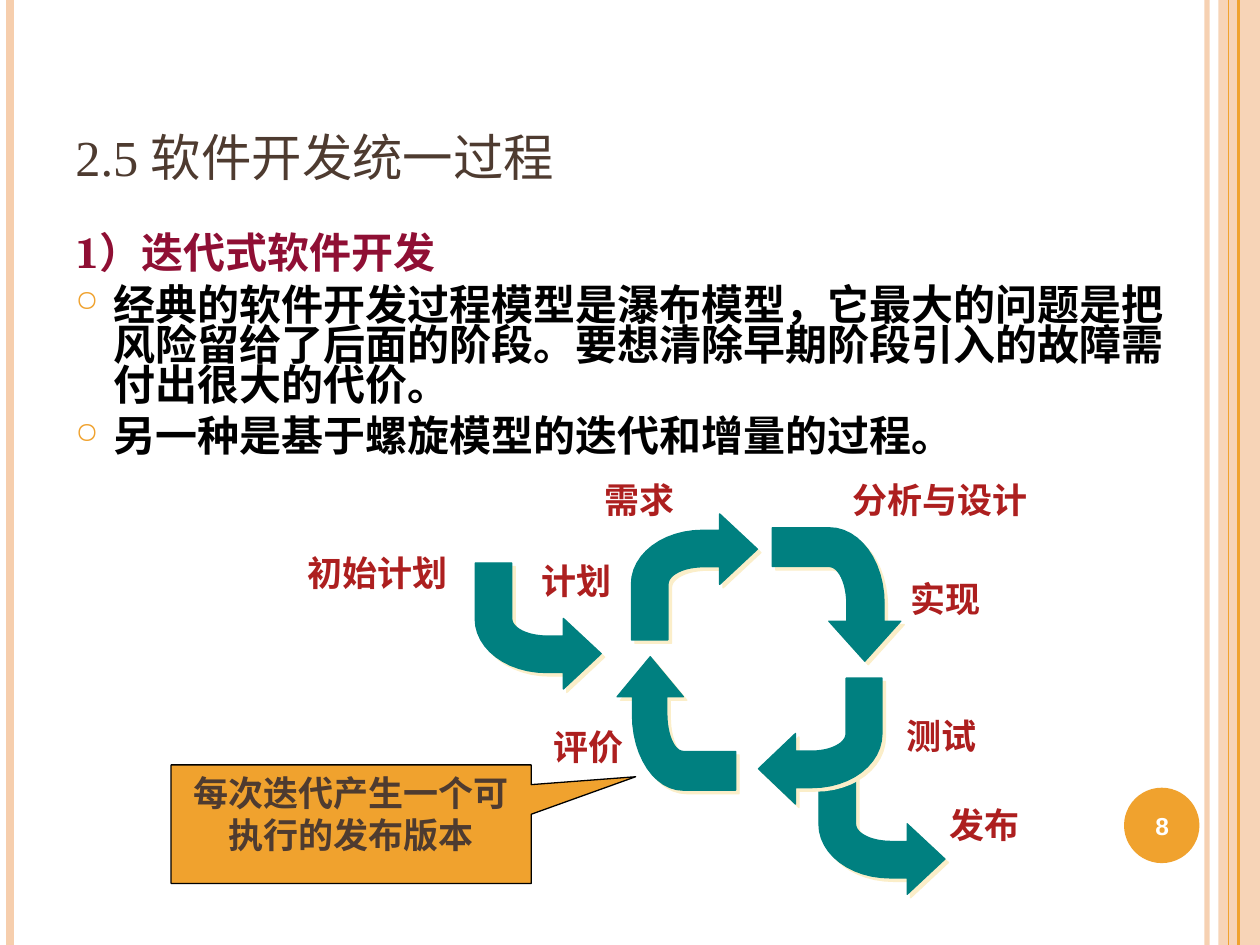
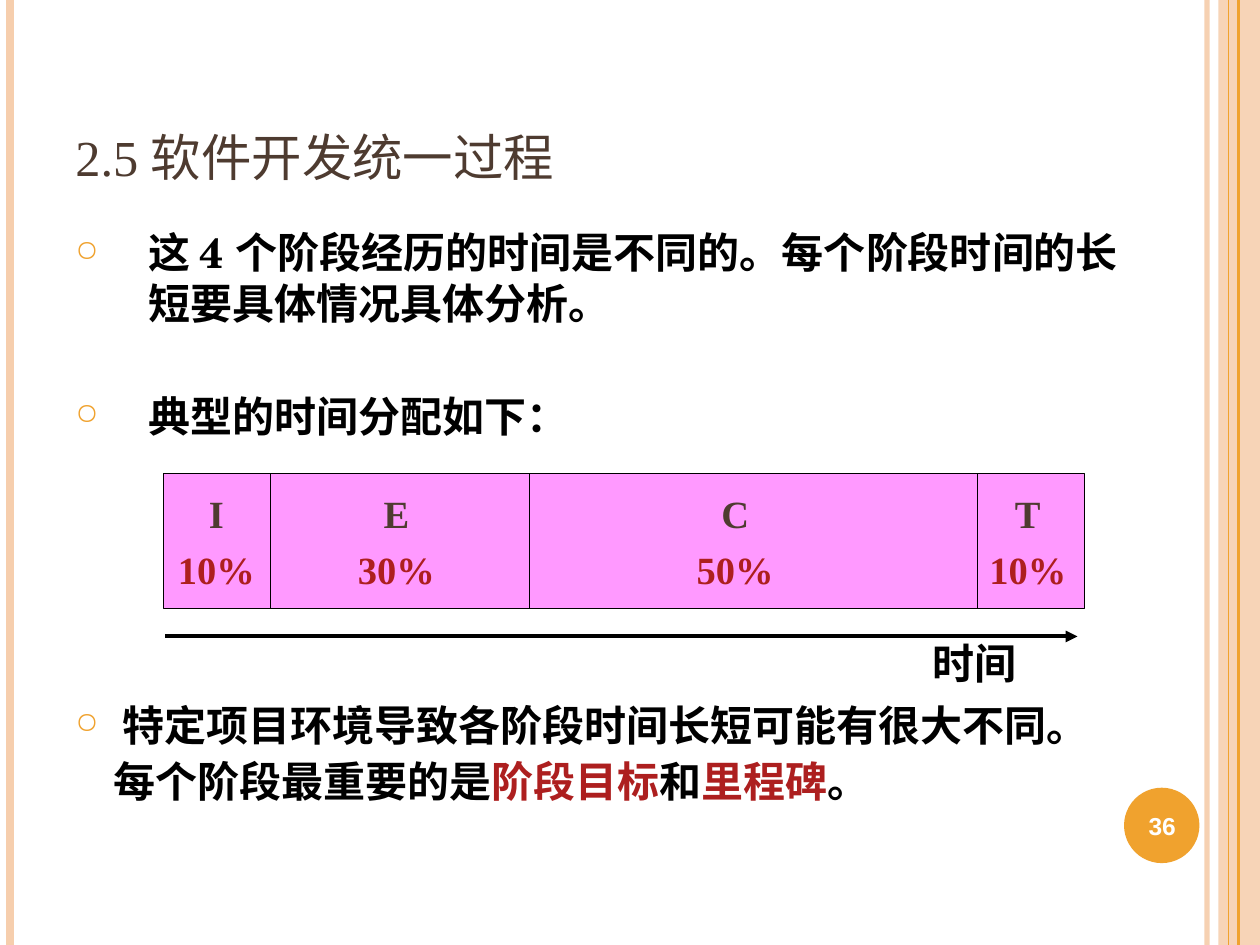
from lxml import etree
from pptx import Presentation
from pptx.dml.color import RGBColor
from pptx.enum.shapes import MSO_CONNECTOR as Link, MSO_SHAPE as Shape
from pptx.enum.text import MSO_ANCHOR as Anchor, PP_ALIGN as Align
from pptx.oxml.ns import qn
from pptx.util import Cm, Pt

# ---- Shared content and style ----
ORANGE, PEACH, BROWN, RED = "F0A22E", "F6CEAD", "4E3B30", "AD1F1F"
BLACK, WHITE, TEAL, CREAM = "000000", "FFFFFF", "008080", "FBEEC9"
PINK, WINE = "FF99FF", "8F0F34"
TIMES, SCHOLA = "Times New Roman", "TeX Gyre Schola"
WIDTH, HEIGHT = 25.4, 19.05
TITLE = "2.5 软件开发统一过程"
STRIPES = [  # x, colour, points, opacity
    (24.33, PEACH, 3, 93), (0.2, PEACH, 4.5, 100),
    (24.97, ORANGE, 1.5, 100), (24.77, ORANGE, 0.75, 100),
]
TITLE_FONT = dict(size=36, name=TIMES, color=BROWN)
NUMBER_FONT = dict(size=14, name="Arial", color=WHITE, bold=True)
BODY_FONT = dict(size=24, name=SCHOLA, color=BLACK, bold=True)
LABEL_FONT = dict(size=20, name=TIMES, color=RED, bold=True)
PHASE_FONT = dict(size=22, name=TIMES, color=BROWN, bold=True)

# ---- Iteration slide ----
ITERATION_BODY = [
    dict(runs=[("1）迭代式软件开发", WINE)]),
    dict(runs=[("经典的软件开发过程模型是瀑布模型，它最大的问题是把风险留给了后面的阶段。"
                "要想清除早期阶段引入的故障需付出很大的代价。", BLACK)],
         hang=0.76, line=0.8, before=6),
    dict(runs=[("另一种是基于螺旋模型的迭代和增量的过程。", BLACK)],
         hang=0.76, line=0.8, before=6),
]
# Bent arrow in a unit square: it starts along v and ends along u
ARROW_OUTLINE = [
    [(1, 0.72)], [(0.7, 1)], [(0.7, 0.87)], [(0.57, 0.87)],
    [(0.25, 0.87), (0, 0.68), (0, 0.44)], [(0, 0)], [(0.29, 0)], [(0.29, 0.44)],
    [(0.29, 0.52), (0.42, 0.58), (0.57, 0.58)], [(0.7, 0.58)], [(0.7, 0.44)],
]
ARROWS = [  # origin, u axis, v axis
    ((16.51, 15.49), (2.54, 0), (0, 2.54)),
    ((12.73, 12.9), (2.54, 0), (0, -2.54)),
    ((15.57, 10.64), (0, 2.69), (2.59, 0)),
    ((14.83, 15.93), (0, -2.69), (-2.39, 0)),
    ((17.78, 13.67), (-2.49, 0), (0, 2.54)),
    ((9.58, 11.35), (2.54, 0), (0, 2.54)),
]
STEPS = [
    ("计划", 10.67, 11.15), ("需求", 11.94, 9.53), ("评价", 10.9, 14.5),
    ("分析与设计", 16.94, 9.53), ("初始计划", 5.94, 11), ("实现", 18.11, 11.51),
    ("测试", 18.03, 14.27), ("发布", 18.9, 16.08),
]
RELEASE_NOTE = "每次迭代产生一个可执行的发布版本"

# ---- Phase slide ----
PHASE_BODY = [
    dict(runs=[("这 4 个阶段经历的时间是不同的。每个阶段时间的长短要具体情况具体分析。", BLACK)],
         hang=1.47),
    dict(runs=[("典型的时间分配如下：", BLACK)], hang=1.47, before=36),
    dict(runs=[(" 特定项目环境导致各阶段时间长短可能有很大不同。每个阶段最重要的是", BLACK),
               ("阶段目标", RED), ("和", BLACK), ("里程碑", RED), ("。", BLACK)],
         hang=0.76, line=1.1, before=145),
]
PHASES = [  # name, share, right edge, label left
    ("I", "10%", 5.46, 3.33), ("E", "30%", 10.67, 6.96),
    ("C", "50%", 19.71, 13.79), ("T", "10%", 21.87, 19.69),
]
BAR_LEFT, BAR_TOP, BAR_HEIGHT = 3.3, 9.55, 2.72


# ---- Helpers ----
def rgb(value):
    return RGBColor.from_string(value)


def set_opacity(parent, percent):
    if percent < 100:
        color = next(parent.iter(qn("a:srgbClr")))
        etree.SubElement(color, qn("a:alpha"), val=str(percent * 1000))


def set_font(font, style):
    values = dict(style)
    font.color.rgb = rgb(values.pop("color"))
    values["size"] = Pt(values["size"])
    for key, value in values.items():
        setattr(font, key, value)


def add_run(paragraph, text, style):
    run = paragraph.add_run()
    run.text = text
    set_font(run.font, style)
    return run


def add_text(slide, box, lines, anchor=Anchor.TOP, align=Align.LEFT,
             wrap=True, before=0):
    """Write (text, style) lines, one paragraph each, and return the runs."""
    frame = slide.shapes.add_textbox(*map(Cm, box)).text_frame
    frame.word_wrap = wrap
    frame.vertical_anchor = anchor
    runs = []
    for i, (text, style) in enumerate(lines):
        paragraph = frame.add_paragraph() if i else frame.paragraphs[0]
        paragraph.alignment = align
        if i:
            paragraph.space_before = Pt(before)
        runs.append(add_run(paragraph, text, style))
    return runs


def add_line(slide, start, end, color, points, opacity=100, arrow=False):
    line = slide.shapes.add_connector(Link.STRAIGHT, *map(Cm, start + end))
    line.line.color.rgb = rgb(color)
    line.line.width = Pt(points)
    properties = line._element.spPr
    set_opacity(properties, opacity)
    if arrow:
        etree.SubElement(properties.find(qn("a:ln")), qn("a:tailEnd"), type="triangle")
    etree.SubElement(properties, qn("a:effectLst"))


def paint(shape, fill, line=None):
    shape.shadow.inherit = False
    shape.fill.solid()
    shape.fill.fore_color.rgb = rgb(fill)
    if line:
        shape.line.color.rgb = rgb(line)
        shape.line.width = Pt(0.75)
    else:
        shape.line.fill.background()


def add_box(slide, kind, box, fill, line=None):
    shape = slide.shapes.add_shape(kind, *map(Cm, box))
    paint(shape, fill, line)
    return shape


def add_bullet(paragraph, hang):
    properties = paragraph._p.get_or_add_pPr()
    properties.set("marL", str(Cm(hang)))
    properties.set("indent", str(-Cm(hang)))
    color = etree.SubElement(properties, qn("a:buClr"))
    etree.SubElement(color, qn("a:srgbClr"), val=ORANGE)
    etree.SubElement(properties, qn("a:buSzPct"), val="70000")
    etree.SubElement(properties, qn("a:buChar"), char="○")


def add_body(slide, width, items):
    frame = slide.shapes.add_textbox(*map(Cm, (1.27, 4.45, width, 13.54))).text_frame
    frame.word_wrap = True
    for i, item in enumerate(items):
        paragraph = frame.add_paragraph() if i else frame.paragraphs[0]
        if "hang" in item:
            add_bullet(paragraph, item["hang"])
        if "line" in item:
            paragraph.line_spacing = item["line"]
        if "before" in item:
            paragraph.space_before = Pt(item["before"])
        for text, color in item["runs"]:
            add_run(paragraph, text, dict(BODY_FONT, color=color))


def add_page(deck, number):
    """Start a slide with its bands, title and page number."""
    slide = deck.slides.add_slide(deck.slide_layouts[6])
    band = add_box(slide, Shape.RECTANGLE, (24.56, 0, 0.84, HEIGHT), PEACH)
    set_opacity(band._element.spPr, 87)
    for x, color, points, opacity in STRIPES:
        add_line(slide, (x, 0), (x, HEIGHT), color, points, opacity)
    add_box(slide, Shape.OVAL, (22.66, 15.88, 1.52, 1.52), ORANGE)
    title, = add_text(slide, (1.27, 0.76, 20.75, 3.18), [(TITLE, TITLE_FONT)],
                      Anchor.BOTTOM)
    title.font._element.set("cap", "small")
    add_text(slide, (22.58, 15.93, 1.7, 1.45), [(str(number), NUMBER_FONT)],
             Anchor.MIDDLE, Align.CENTER)
    return slide


def trace_outline(segments, steps=12):
    """Turn corners and cubic curves into a list of points."""
    points = []
    for segment in segments:
        if len(segment) == 1:
            points += segment
            continue
        controls = [points[-1]] + segment
        for step in range(1, steps + 1):
            t = step / steps
            weights = ((1 - t) ** 3, 3 * t * (1 - t) ** 2, 3 * t * t * (1 - t), t ** 3)
            points.append(tuple(sum(w * p[axis] for w, p in zip(weights, controls))
                                for axis in (0, 1)))
    return points


def add_bent_arrow(slide, origin, u_axis, v_axis):
    corners = [tuple(Cm(origin[i] + u * u_axis[i] + v * v_axis[i]) for i in (0, 1))
               for u, v in trace_outline(ARROW_OUTLINE)]
    builder = slide.shapes.build_freeform(*corners[0])
    builder.add_line_segments(corners[1:], close=True)
    arrow = builder.convert_to_shape()
    paint(arrow, TEAL, TEAL)
    effects = arrow._element.spPr.find(qn("a:effectLst"))
    shadow = etree.SubElement(effects, qn("a:outerShdw"), dist=str(Pt(2.8)),
                              dir="2700000", algn="ctr", rotWithShape="0")
    etree.SubElement(shadow, qn("a:srgbClr"), val=CREAM)


# ---- Slides ----
def build_iteration(deck):
    slide = add_page(deck, 8)
    add_body(slide, 22.63, ITERATION_BODY)
    for arrow in ARROWS:
        add_bent_arrow(slide, *arrow)
    for step, left, top in STEPS:
        add_text(slide, (left, top, 0.62 + 0.73 * len(step), 1.12), [(step, LABEL_FONT)])
    callout = add_box(slide, Shape.RECTANGULAR_CALLOUT, (3.45, 15.42, 7.26, 2.39),
                      ORANGE, BLACK)
    callout.adjustments[0], callout.adjustments[1] = 0.79, -0.4
    frame = callout.text_frame
    frame.word_wrap = True
    frame.vertical_anchor = Anchor.TOP
    frame.paragraphs[0].alignment = Align.CENTER
    add_run(frame.paragraphs[0], RELEASE_NOTE, dict(LABEL_FONT, color=BROWN))


def build_phases(deck):
    slide = add_page(deck, 36)
    add_body(slide, 21.72, PHASE_BODY)
    bar_right = PHASES[-1][2]
    add_box(slide, Shape.RECTANGLE,
            (BAR_LEFT, BAR_TOP, bar_right - BAR_LEFT, BAR_HEIGHT), PINK, BLACK)
    for phase, share, right, label_left in PHASES:
        add_text(slide, (label_left, 9.75, 2.06, 2.31),
                 [(phase, PHASE_FONT), (share, dict(PHASE_FONT, color=RED))],
                 align=Align.CENTER, wrap=False, before=5.5)
        if right < bar_right:
            add_line(slide, (right, BAR_TOP), (right, BAR_TOP + BAR_HEIGHT), BLACK, 0.75)
    # Time axis
    add_line(slide, (3.33, 12.83), (21.72, 12.83), BLACK, 2.25, arrow=True)
    add_text(slide, (18.54, 12.73, 2.21, 1.27), [("时间", dict(BODY_FONT, name=TIMES))],
             align=Align.CENTER, wrap=False)


def main():
    deck = Presentation()
    deck.slide_width, deck.slide_height = Cm(WIDTH), Cm(HEIGHT)
    build_iteration(deck)
    build_phases(deck)
    deck.save("out.pptx")


if __name__ == "__main__":
    main()
